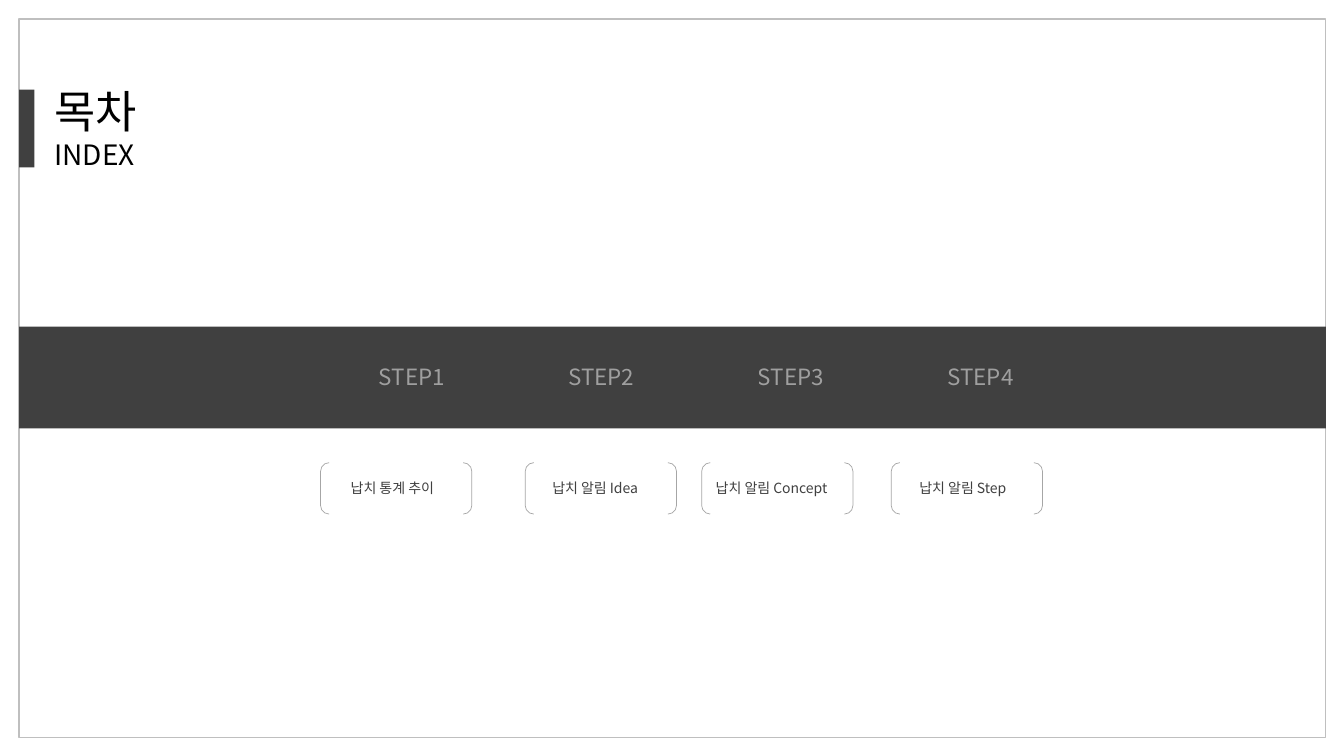
from pptx import Presentation, util as u
from pptx.dml.color import RGBColor
from pptx.enum import shapes, text
from pptx.oxml import parse_xml
from pptx.oxml.ns import nsdecls, qn
from lxml import etree

FONT = "Noto Sans CJK KR"
DARK, PALE, GREY = "404040", "BFBFBF", "A6A6A6"
TITLE = [("목차", 32), ("INDEX", 20)]
STEPS = ["STEP1", "STEP2", "STEP3", "STEP4"]
TOPICS = [
    ("납치 통계 추이", 3.18, 3.38, 1.14),
    ("납치 알림 Idea", 5.21, 5.38, 1.13),
    ("납치 알림 Concept", 6.96, 7, 1.39),
    ("납치 알림 Step", 8.84, 9.02, 1.15),
]
KIND = shapes.MSO_SHAPE
ALIGN = text.PP_ALIGN


def rgb(code):
    return RGBColor.from_string(code)


def shape(kind, box, fill=None, line=None, width=1):
    item = slide.shapes.add_shape(kind, *map(u.Inches, box))
    item.shadow.inherit = False
    if fill:
        item.fill.solid()
        item.fill.fore_color.rgb = rgb(fill)
    else:
        item.fill.background()
    if line:
        item.line.color.rgb = rgb(line)
        item.line.width = u.Pt(width)
    else:
        item.line.fill.background()


def edge(run, color, alpha):
    run._r.get_or_add_rPr().insert(0, parse_xml(
        f'<a:ln {nsdecls("a")} w="9525"><a:solidFill><a:srgbClr val="{color}">'
        f'<a:alpha val="{alpha * 1000}"/></a:srgbClr></a:solidFill></a:ln>'))


def label(lines, box, color, alpha, align=ALIGN.LEFT, wrap=True, fade=False):
    frame = slide.shapes.add_textbox(*map(u.Inches, box)).text_frame
    frame.word_wrap = wrap
    frame.auto_size = text.MSO_AUTO_SIZE.SHAPE_TO_FIT_TEXT
    for i, (words, size) in enumerate(lines):
        para = frame.add_paragraph() if i else frame.paragraphs[0]
        para.alignment = align
        run = para.add_run()
        run.text = words
        run.font.size = u.Pt(size)
        run.font.name = FONT
        run.font.color.rgb = rgb(color)
        props = run._r.get_or_add_rPr()
        east = etree.Element(qn("a:ea"), typeface=FONT)
        props.find(qn("a:latin")).addnext(east)
        if fade:
            tone = props.find(qn("a:solidFill"))[0]
            etree.SubElement(tone, qn("a:alpha"), val="50000")
        edge(run, color, alpha)


def build():
    """Draw the index slide: frame, title, step band and topics."""
    shape(KIND.RECTANGLE, (0.19, 0.19, 12.96, 7.13), line=PALE)
    shape(KIND.RECTANGLE, (0.19, 0.89, 0.15, 0.77), DARK)
    label(TITLE, (0.44, 0.78, 1.37, 0.98), "000000", 50)
    shape(KIND.RECTANGLE, (0.19, 3.24, 12.96, 1.01), DARK)
    for i, step in enumerate(STEPS):
        label([(step, 16)], (3.4 + 1.88 * i, 3.55, 1.37, 0.37),
              "FFFFFF", 50, ALIGN.CENTER, fade=True)
    for topic, left, start, width in TOPICS:
        shape(KIND.DOUBLE_BRACKET, (left, 4.59, 1.5, 0.51), line=GREY, width=0.5)
        label([(topic, 10)], (start, 4.71, width, 0.27), DARK, 30, wrap=False)


deck = Presentation()
deck.slide_width, deck.slide_height = u.Inches(13.33), u.Inches(7.5)
slide = deck.slides.add_slide(deck.slide_layouts[6])
build()
deck.save("out.pptx")
